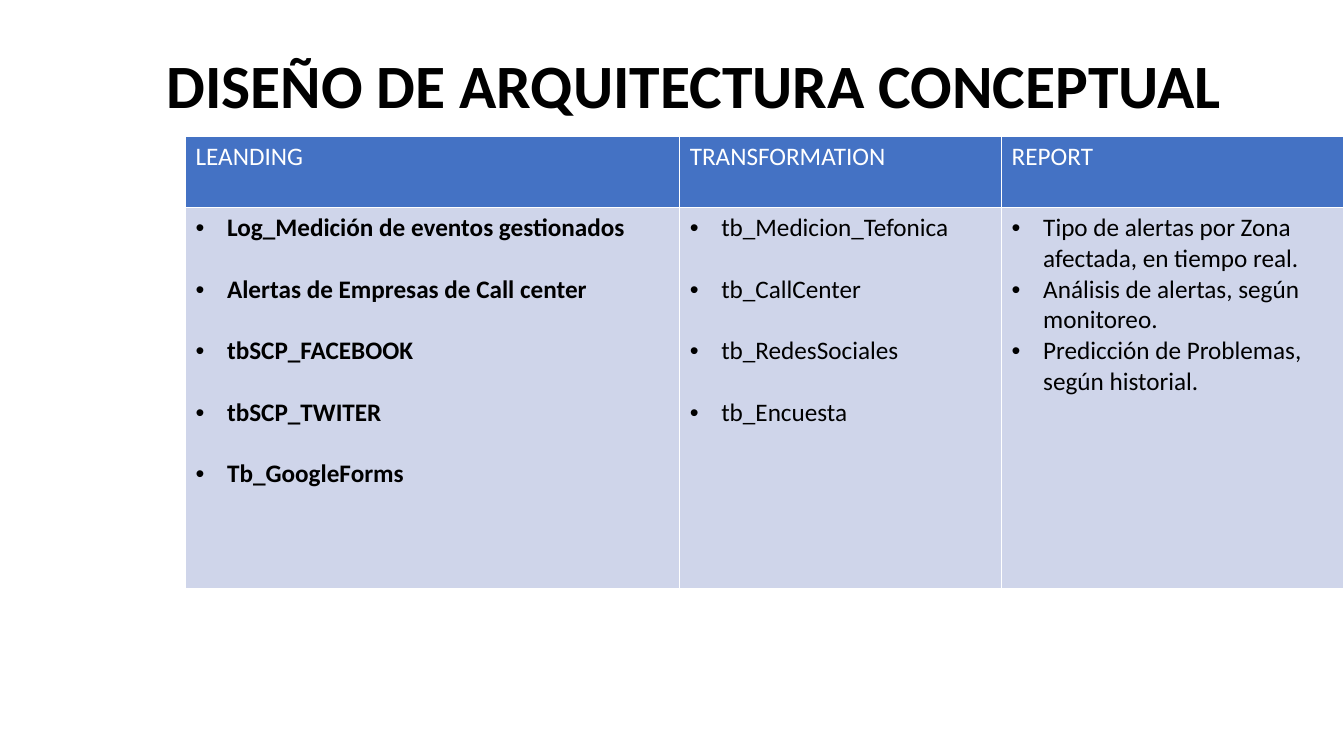
from lxml import etree
from pptx import Presentation
from pptx import util as u
from pptx.dml import color as dml
from pptx.enum import text as t
from pptx.oxml import ns

HEADS = ["LEANDING", "TRANSFORMATION", "REPORT"]
LISTS = [
    ["Log_Medición de eventos gestionados", "Alertas de Empresas de Call center",
     "tbSCP_FACEBOOK", "tbSCP_TWITER", "Tb_GoogleForms"],
    ["tb_Medicion_Tefonica", "tb_CallCenter", "tb_RedesSociales", "tb_Encuesta"],
    ["Tipo de alertas por Zona afectada, en tiempo real.",
     "Análisis de alertas, según monitoreo.",
     "Predicción de Problemas, según historial."],
]
BOLD = [True, False, False]
GAPS = [22, 22, 0]
WIDTHS = [353, 230, 244.5]
HEIGHTS = [51, 272]
INDENT = 22.5


def rgb(code):
    return dml.RGBColor.from_string(code)


def write(par, words, size, color, bold=False):
    run = par.add_run()
    run.text = words
    look = {"name": "Calibri", "size": u.Pt(size), "bold": bold}
    for key, val in look.items():
        setattr(run.font, key, val)
    run.font.color.rgb = rgb(color)


def bullet(par):
    props = par._p.get_or_add_pPr()
    props.set("marL", str(u.Pt(INDENT)))
    props.set("indent", str(-u.Pt(INDENT)))
    etree.SubElement(props, ns.qn("a:buFont")).set("typeface", "Arial")
    etree.SubElement(props, ns.qn("a:buChar")).set("char", "•")


def paint(cell, color):
    cell.fill.solid()
    cell.fill.fore_color.rgb = rgb(color)
    # White rules on all four sides
    props = cell._tc.get_or_add_tcPr()
    for spot, side in enumerate(["lnL", "lnR", "lnT", "lnB"]):
        line = etree.Element(ns.qn("a:" + side), w=str(u.Pt(1)))
        fill = etree.SubElement(line, ns.qn("a:solidFill"))
        etree.SubElement(fill, ns.qn("a:srgbClr")).set("val", "FFFFFF")
        props.insert(spot, line)


def title(slide, left, top, width, height):
    shape = slide.shapes.title
    box = {"left": left, "top": top, "width": width, "height": height}
    for key, val in box.items():
        setattr(shape, key, u.Pt(val))
    frame = shape.text_frame
    frame.auto_size = t.MSO_AUTO_SIZE.NONE
    frame.vertical_anchor = t.MSO_ANCHOR.MIDDLE
    par = frame.paragraphs[0]
    par.alignment = t.PP_ALIGN.LEFT
    par.line_spacing = 0.9
    write(par, "DISEÑO DE ARQUITECTURA CONCEPTUAL", 44, "000000", True)


def stages(slide, left, top):
    grid = slide.shapes.add_table(
        2, len(HEADS), u.Pt(left), u.Pt(top),
        u.Pt(sum(WIDTHS)), u.Pt(sum(HEIGHTS))).table
    for row, height in zip(grid.rows, HEIGHTS):
        row.height = u.Pt(height)
    for col, head in enumerate(HEADS):
        grid.columns[col].width = u.Pt(WIDTHS[col])
        # Heading
        cell = grid.cell(0, col)
        paint(cell, "4472C4")
        write(cell.text_frame.paragraphs[0], head, 18, "FFFFFF")
        # Bullet list
        cell = grid.cell(1, col)
        paint(cell, "CFD5EA")
        frame = cell.text_frame
        for num, item in enumerate(LISTS[col]):
            par = frame.add_paragraph() if num else frame.paragraphs[0]
            bullet(par)
            if num:
                par.space_before = u.Pt(GAPS[col])
            write(par, item, 18, "000000", BOLD[col])


def main():
    deck = Presentation()
    deck.slide_width, deck.slide_height = u.Pt(960), u.Pt(540)
    slide = deck.slides.add_slide(deck.slide_layouts[5])
    title(slide, 111.6, 21, 789, 85)
    stages(slide, 132.5, 97.2)
    deck.save("out.pptx")


if __name__ == "__main__":
    main()
